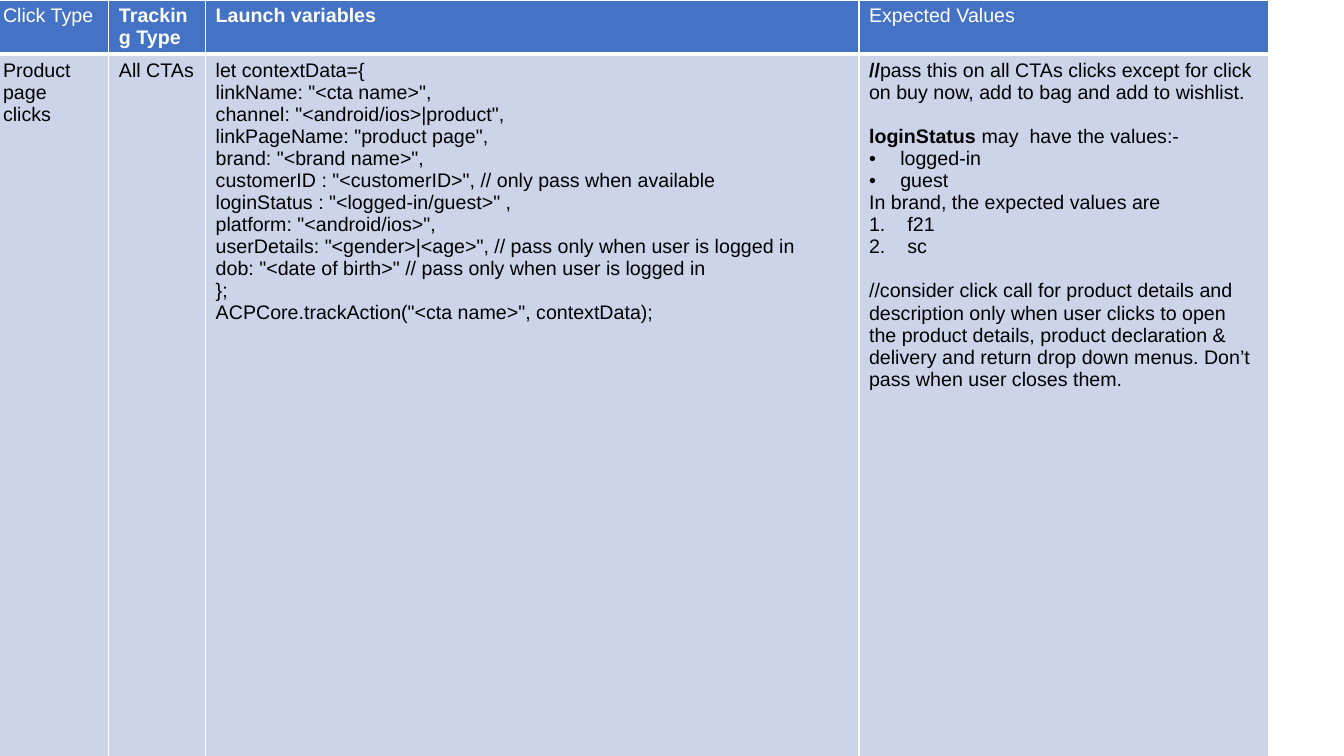
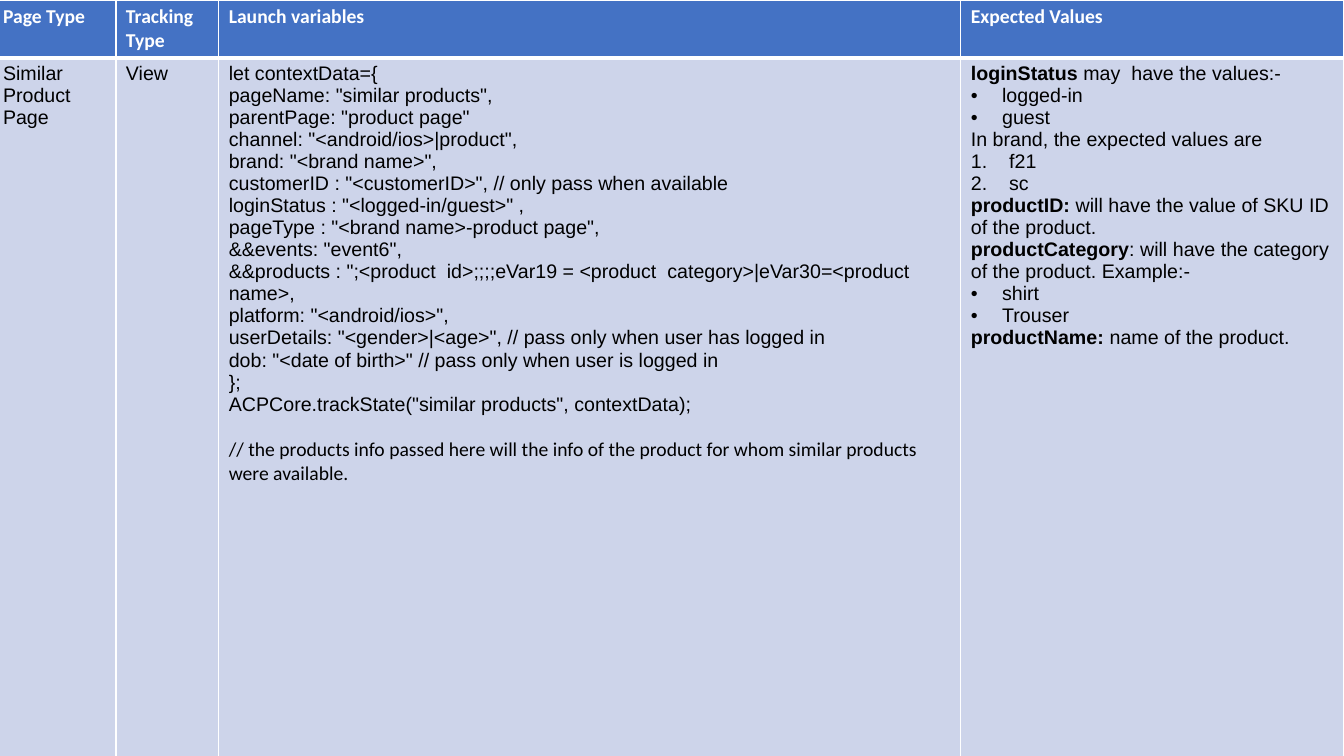
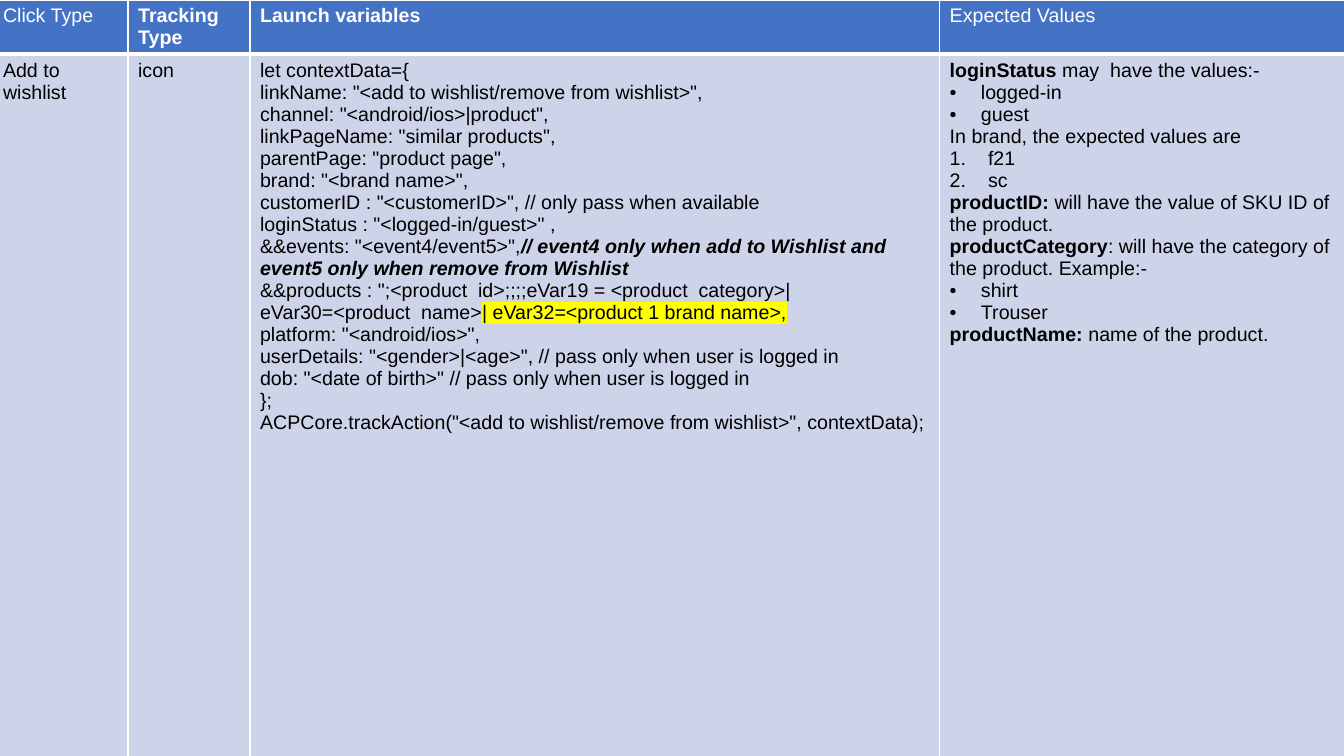
from dataclasses import dataclass

from lxml import etree
from pptx import Presentation
from pptx.dml.color import RGBColor
from pptx.oxml.ns import qn
from pptx.util import Inches, Pt

BLUE, PALE, WHITE, BLACK, YELLOW = "4472C4", "CDD4EA", "FFFFFF", "000000", "FFFF00"
BODY_FONT, ALTERNATE_FONT = "Arial", "Calibri"
TEXT_SIZE = 14
LINE_GAP = 16
ROW_HEIGHTS = (0.38, 7.12)
BLANK_LAYOUT = 6
INDENTS = {"bullet": 0.31, "number": 0.38}


def color(value):
    return RGBColor.from_string(value)


def add_color(parent, tag, value):
    """Append an element such as a:buClr that holds one RGB colour."""
    element = etree.SubElement(parent, qn(tag))
    etree.SubElement(element, qn("a:srgbClr"), val=value)
    return element


@dataclass
class Span:
    text: str
    bold: bool = False
    italic: bool = False
    font: str = BODY_FONT
    color: str = BLACK
    highlight: str = ""


@dataclass
class Line:
    """One paragraph; marker is a key of INDENTS, gap leaves a line free above."""
    spans: list
    marker: str = ""
    gap: bool = False


def plain(text, **options):
    return Line([Span(text)], **options)


def term(name, explanation, **options):
    return Line([Span(name, bold=True), Span(explanation)], **options)


def listing(marker, *texts):
    return [plain(text, marker=marker) for text in texts]


class TrackingDeck:
    def __init__(self):
        self.presentation = Presentation()
        self.presentation.slide_width = Inches(13.33)
        self.presentation.slide_height = Inches(7.5)
        self.slide = None

    def add_slide(self):
        layout = self.presentation.slide_layouts[BLANK_LAYOUT]
        self.slide = self.presentation.slides.add_slide(layout)

    def add_table(self, widths, headings, body):
        shape = self.slide.shapes.add_table(
            2, len(widths), Inches(-0.07), Inches(0),
            Inches(sum(widths)), Inches(sum(ROW_HEIGHTS)))
        table = shape.table
        table.horz_banding = False
        for column, width in zip(table.columns, widths):
            column.width = Inches(width)
        for row, height in zip(table.rows, ROW_HEIGHTS):
            row.height = Inches(height)
        for index, (heading, lines) in enumerate(zip(headings, body)):
            self.fill_cell(table.cell(0, index), [Line([heading])], BLUE, 3)
            self.fill_cell(table.cell(1, index), lines, PALE, 1)

    def fill_cell(self, cell, lines, fill, bottom_width):
        self.add_borders(cell, bottom_width)
        cell.fill.solid()
        cell.fill.fore_color.rgb = color(fill)
        text_frame = cell.text_frame
        for index, line in enumerate(lines):
            paragraph = text_frame.add_paragraph() if index else text_frame.paragraphs[0]
            self.write_line(paragraph, line)

    def add_borders(self, cell, bottom_width):
        properties = cell._tc.get_or_add_tcPr()
        for side, width in (("L", 1), ("R", 1), ("T", 1), ("B", bottom_width)):
            border = etree.SubElement(properties, qn(f"a:ln{side}"), w=str(Pt(width)))
            add_color(border, "a:solidFill", WHITE)

    def write_line(self, paragraph, line):
        if line.marker:
            self.add_marker(paragraph, line.marker)
        if line.gap:
            paragraph.space_before = Pt(LINE_GAP)
        for span in line.spans:
            run = paragraph.add_run()
            run.text = span.text
            font = run.font
            font.size, font.name = Pt(TEXT_SIZE), span.font
            font.bold, font.italic = span.bold, span.italic
            font.color.rgb = color(span.color)
            if span.highlight:
                properties = run._r.get_or_add_rPr()
                highlight = add_color(properties, "a:highlight", span.highlight)
                properties.find(qn("a:latin")).addprevious(highlight)

    def add_marker(self, paragraph, marker):
        properties = paragraph._p.get_or_add_pPr()
        indent = Inches(INDENTS[marker])
        properties.set("marL", str(indent))
        properties.set("indent", str(-indent))
        add_color(properties, "a:buClr", BLACK)
        etree.SubElement(properties, qn("a:buFont"), typeface=BODY_FONT)
        if marker == "bullet":
            etree.SubElement(properties, qn("a:buChar"), char="•")
        else:
            etree.SubElement(properties, qn("a:buAutoNum"), type="arabicPeriod")


def headings(first, font=BODY_FONT, outer_bold=False):
    """Header spans; outer_bold sets the weight of the first and last column."""
    texts = (first, "Tracking Type", "Launch variables", "Expected Values")
    weights = (outer_bold, True, True, outer_bold)
    return [Span(text, bold=bold, font=font, color=WHITE)
            for text, bold in zip(texts, weights)]


def code(*texts):
    return [plain(text) for text in texts]


OPENING = "let contextData={"
CHANNEL = 'channel: "<android/ios>|product",'
CUSTOMER = ('brand: "<brand name>",',
            'customerID : "<customerID>", // only pass when available',
            'loginStatus : "<logged-in/guest>" ,')


def user_code(verb, call):
    """The closing lines of each call, from platform to the tracking function."""
    return code('platform: "<android/ios>",',
                f'userDetails: "<gender>|<age>", // pass only when user {verb} logged in',
                'dob: "<date of birth>" // pass only when user is logged in',
                "};", call)


def login_values(gap=False):
    return [term("loginStatus ", "may  have the values:-", gap=gap),
            *listing("bullet", "logged-in", "guest"),
            plain("In brand, the expected values are"),
            *listing("number", "f21", "sc")]


def product_values():
    return [*login_values(),
            term("productID:", " will have the value of SKU ID of the product."),
            term("productCategory", ": will have the category of the product. Example:-"),
            *listing("bullet", "shirt", "Trouser"),
            term("productName: ", "name of the product.")]


def add_product_clicks(deck):
    deck.add_slide()
    variables = [
        *code(OPENING, 'linkName: "<cta name>",', CHANNEL,
              'linkPageName: "product page",', *CUSTOMER),
        *user_code("is", 'ACPCore.trackAction("<cta name>", contextData);')]
    values = [
        term("//", "pass this on all CTAs clicks except for click on buy now, "
                   "add to bag and add to wishlist."),
        *login_values(gap=True),
        plain("//consider click call for product details and description only when "
              "user clicks to open the product details, product declaration & delivery "
              "and return drop down menus. Don’t pass when user closes them.", gap=True)]
    deck.add_table((1.15, 0.96, 6.48, 4.06), headings("Click Type"),
                   ([plain("Product page clicks")], [plain("All CTAs")], variables, values))


def add_similar_products(deck):
    deck.add_slide()
    variables = [
        *code(OPENING, 'pageName: "similar products",', 'parentPage: "product page"',
              CHANNEL, *CUSTOMER, 'pageType : "<brand name>-product page",',
              '&&events: "event6",',
              '&&products : ";<product  id>;;;;eVar19 = <product  category>'
              '|eVar30=<product  name>,'),
        *user_code("has", 'ACPCore.trackState("similar products", contextData);'),
        Line([Span("// the products info passed here will the info of the product "
                   "for whom similar products were available.",
                   font=ALTERNATE_FONT)], gap=True)]
    deck.add_table((1.22, 1.02, 7.36, 3.8),
                   headings("Page Type", ALTERNATE_FONT, outer_bold=True),
                   ([plain("Similar Product Page")], [plain("View")],
                    variables, product_values()))


def add_wishlist_clicks(deck):
    deck.add_slide()
    variables = [
        *code(OPENING, 'linkName: "<add to wishlist/remove from wishlist>",', CHANNEL,
              'linkPageName: "similar products",', 'parentPage: "product page",',
              *CUSTOMER),
        Line([Span('&&events: "<event4/event5>",'),
              Span("// event4 only when add to Wishlist and event5 only when "
                   "remove from Wishlist", bold=True, italic=True)]),
        Line([Span('&&products : ";<product  id>;;;;eVar19 = <product  category>'
                   '|eVar30=<product  name>'),
              Span("| eVar32=<product 1 brand name>,", highlight=YELLOW)]),
        *user_code("is", 'ACPCore.trackAction("<add to wishlist/remove from wishlist>", '
                         'contextData);')]
    deck.add_table((1.34, 1.21, 6.84, 4.02), headings("Click Type"),
                   ([plain("Add to wishlist")], [plain("icon")],
                    variables, product_values()))


def main():
    deck = TrackingDeck()
    add_product_clicks(deck)
    add_similar_products(deck)
    add_wishlist_clicks(deck)
    deck.presentation.save("out.pptx")


if __name__ == "__main__":
    main()
